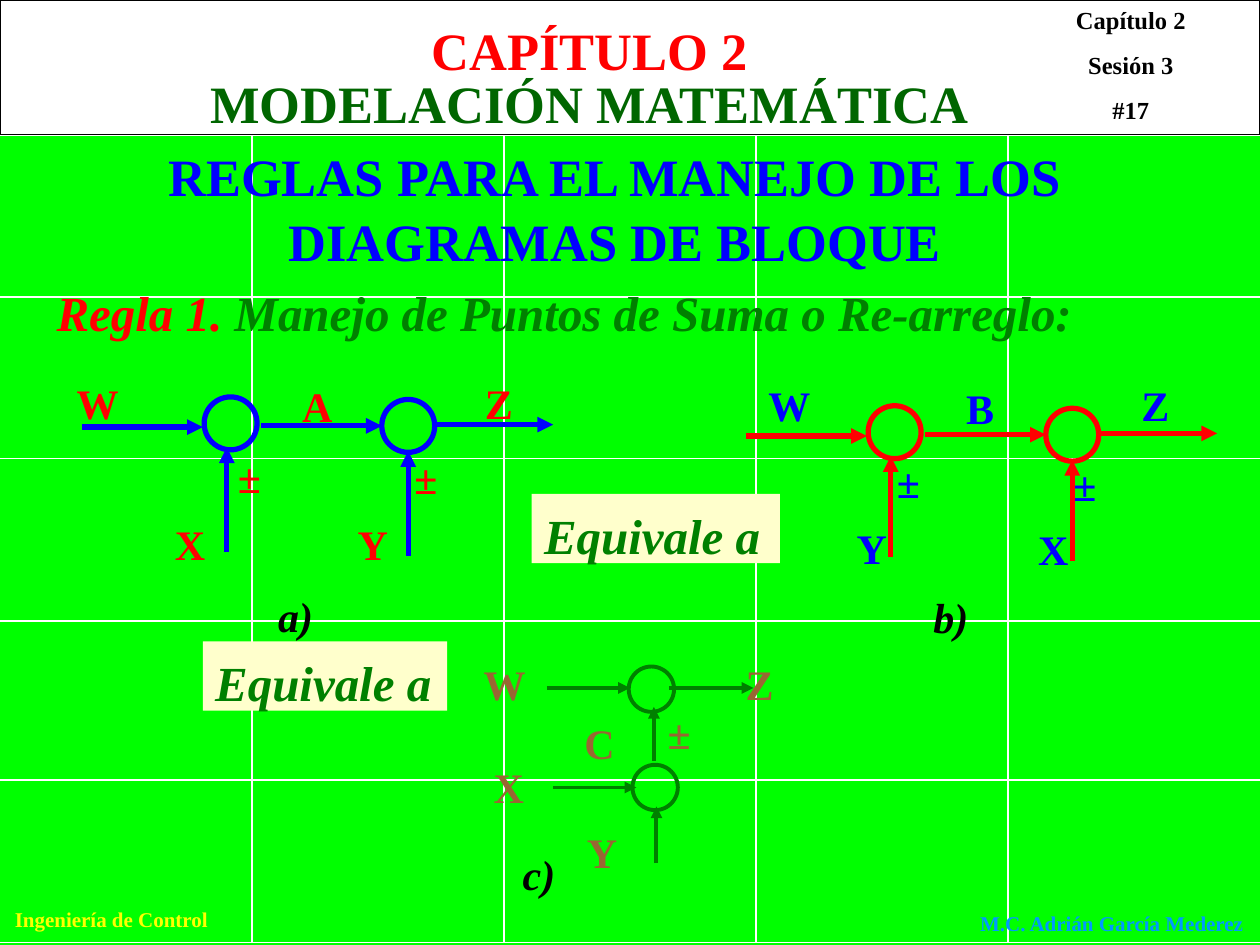
from lxml.etree import SubElement
from pptx import Presentation
from pptx.dml.color import RGBColor
from pptx.enum.shapes import MSO_CONNECTOR, MSO_SHAPE
from pptx.enum.text import MSO_ANCHOR, PP_ALIGN
from pptx.oxml.ns import qn
from pptx.util import Pt

SCALE = 9144
FONT = "Times New Roman"
RED, BLUE, GREEN, BROWN = "FF0000", "0000FF", "008000", "996633"
WHITE, BLACK, CREAM = "FFFFFF", "000000", "FFFFCC"


def px(*lengths):
    """Turn lengths in px into EMU."""
    return [length * SCALE for length in lengths]


def color(value):
    """Turn a hex string into a colour."""
    return RGBColor.from_string(value)


def add_shape(slide, kind, place, fill=None, line=None, weight=1):
    """Draw a preset shape without shadow."""
    shape = slide.shapes.add_shape(kind, *px(*place))
    shape.shadow.inherit = False
    if fill:
        shape.fill.solid()
        shape.fill.fore_color.rgb = color(fill)
    else:
        shape.fill.background()
    if line:
        shape.line.color.rgb = color(line)
        shape.line.width = Pt(weight)
    else:
        shape.line.fill.background()
    return shape


def add_line(slide, ends, line, weight, arrow=False):
    """Draw a straight line, with an arrowhead at its end if asked."""
    connector = slide.shapes.add_connector(MSO_CONNECTOR.STRAIGHT, *px(*ends))
    connector.line.color.rgb = color(line)
    connector.line.width = Pt(weight)
    if arrow:
        SubElement(connector.line._get_or_add_ln(), qn("a:tailEnd"), type="triangle")
    SubElement(connector._element.spPr, qn("a:effectLst"))


def add_text(slide, place, paragraphs, size=24, italic=False, align=PP_ALIGN.LEFT,
             fill=None, before=0, spacing=None):
    """Write paragraphs, each a list of (text, colour) spans."""
    if fill:
        box = add_shape(slide, MSO_SHAPE.RECTANGLE, place, fill)
    else:
        box = slide.shapes.add_textbox(*px(*place))
    frame = box.text_frame
    frame.word_wrap = True
    frame.vertical_anchor = MSO_ANCHOR.TOP
    frame.margin_top = Pt(3.6 + size / 10)
    for index, spans in enumerate(paragraphs):
        para = frame.paragraphs[0] if index == 0 else frame.add_paragraph()
        para.alignment = align
        para.space_before = Pt(before)
        if spacing:
            para.line_spacing = spacing
        for text, ink in spans:
            span = para.add_run()
            span.text = text
            span.font.name = FONT
            span.font.size = Pt(size)
            span.font.bold = True
            span.font.italic = italic
            span.font.color.rgb = color(ink)


def add_labels(slide, labels, ink):
    """Write the signal names of a diagram."""
    for text, left, top in labels:
        add_text(slide, (left, top, 77, 54), [[(text, ink)]])


def add_caption(slide, text, left, top):
    """Write the letter that names a diagram."""
    add_text(slide, (left, top, 74, 49), [[(text, BLACK)]], italic=True)


def add_diagram(slide, circles, arrows, line, weight, diameter):
    """Draw summing points and the arrows between them."""
    for left, top in circles:
        add_shape(slide, MSO_SHAPE.OVAL, (left, top, diameter, diameter),
                  line=line, weight=weight)
    for ends in arrows:
        add_line(slide, ends, line, weight, arrow=True)


def add_series_diagram(slide, left, top, stem, line):
    """Draw two summing points in a row, each fed from below."""
    circles = [(left + 97, top), (left + 238, top + 2)]
    flows = [(0, 96, 24), (142, 238, 23), (278, 374, 22)]
    arrows = [(left + start, top + y, left + end, top + y) for start, end, y in flows]
    for x, y in [(115, 40), (259, 43)]:
        arrows.append((left + x, top + y + stem, left + x, top + y))
    add_diagram(slide, circles, arrows, line, 3, 42)


def add_background(slide):
    """Paint the green page, its white grid and the header band."""
    slide.background.fill.solid()
    slide.background.fill.fore_color.rgb = color("00FF00")
    for x in range(200, 1000, 200):
        add_line(slide, (x, 107, x, 748), WHITE, 1)
    for y in (107, 236, 364, 493, 619, 748):
        add_line(slide, (0, y, 1000, y), WHITE, 1)
    add_shape(slide, MSO_SHAPE.RECTANGLE, (0, 0, 1000, 107), WHITE, BLACK, 0.75)


def add_headings(slide):
    """Write the header, the footer and the titles."""
    center = PP_ALIGN.CENTER
    add_text(slide, (0, 713, 177, 30), [[("Ingeniería de Control", "FFFF00")]],
             size=12, align=center)
    add_text(slide, (768, 716, 232, 30), [[("M.C. Adrián García Mederez", "0099FF")]],
             size=12)
    session = [[(text, BLACK)] for text in ("Capítulo 2", "Sesión 3", "#17")]
    add_text(slide, (815, -3, 165, 105), session, size=14, align=center, before=8.8)
    add_text(slide, (90, 5, 756, 60), [[("CAPÍTULO 2", RED)]], size=30, align=center)
    add_text(slide, (90, 47, 756, 60), [[("MODELACIÓN MATEMÁTICA", "006600")]],
             size=30, align=center)
    add_text(slide, (27, 103, 922, 110),
             [[("REGLAS PARA EL MANEJO DE LOS DIAGRAMAS DE BLOQUE", BLUE)]],
             size=30, align=center, spacing=1.04)
    rule = [("Regla 1.", RED), (" Manejo de Puntos de Suma o Re-arreglo:", GREEN)]
    add_text(slide, (35, 215, 921, 57), [rule], size=28, italic=True,
             align=PP_ALIGN.JUSTIFY)


def main():
    """Build the deck and save it."""
    deck = Presentation()
    deck.slide_width, deck.slide_height = px(1000, 750)
    page = deck.slides.add_slide(deck.slide_layouts[6])
    add_background(page)
    add_headings(page)

    add_series_diagram(page, 65, 315, 83, BLUE)
    add_labels(page, [("±", 179, 350), ("±", 319, 351), ("W", 51, 291), ("Z", 375, 291),
                      ("X", 129, 403), ("Y", 274, 403), ("A", 230, 294)], RED)
    add_caption(page, "a)", 211, 460)

    add_series_diagram(page, 592, 322, 80, RED)
    add_labels(page, [("±", 702, 354), ("±", 842, 356), ("W", 600, 293), ("Z", 896, 293),
                      ("Y", 670, 406), ("X", 814, 407), ("B", 757, 295)], BLUE)
    add_caption(page, "b)", 731, 461)

    add_diagram(page, [(499, 529), (502, 607)],
                [(434, 546, 500, 546), (531, 546, 598, 546), (439, 625, 505, 625),
                 (519, 604, 519, 561), (521, 685, 521, 640)], GREEN, 2.25, 36)
    add_labels(page, [("±", 520, 553), ("W", 374, 514), ("X", 382, 596),
                      ("Y", 456, 648), ("Z", 582, 514), ("C", 454, 561)], BROWN)
    add_caption(page, "c)", 405, 665)

    for place in [(422, 392, 197, 55), (161, 509, 194, 55)]:
        add_text(page, place, [[("Equivale a", GREEN)]], size=28, italic=True, fill=CREAM)
    deck.save("out.pptx")


if __name__ == "__main__":
    main()
